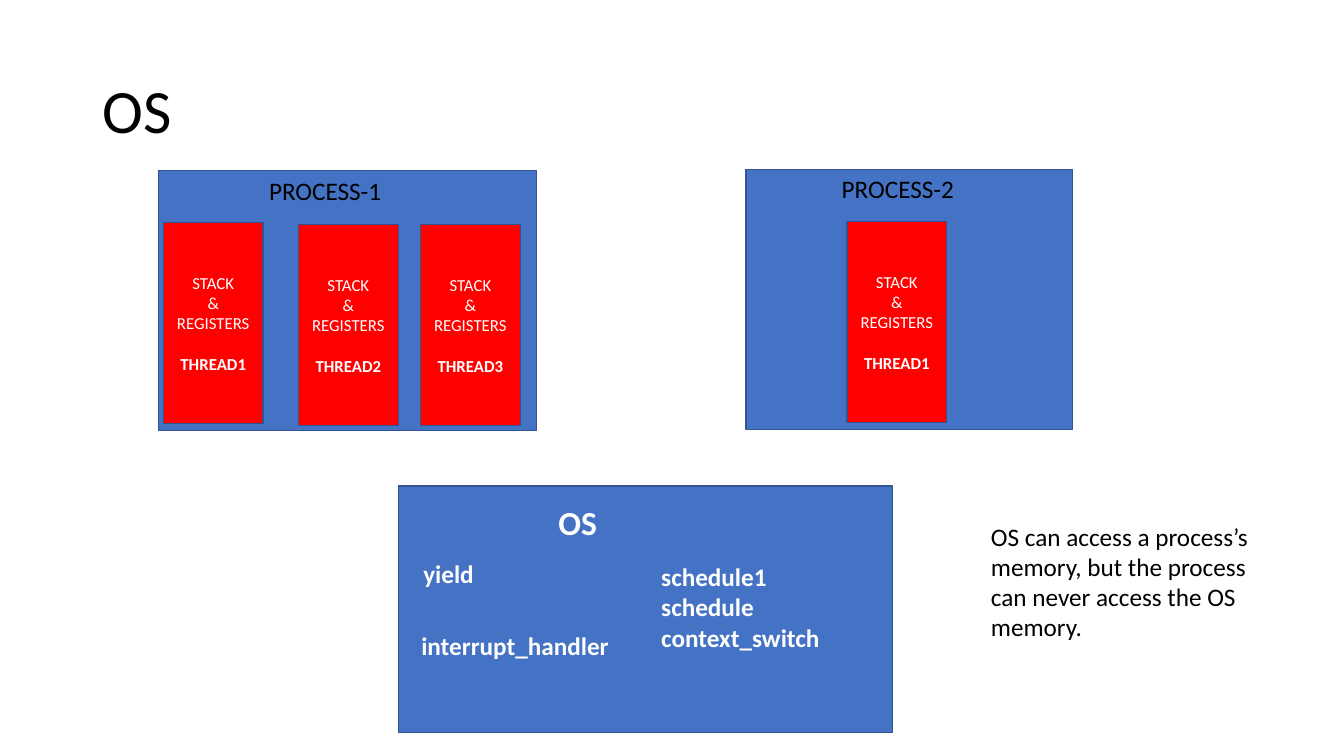
from pptx import Presentation
from pptx.dml.color import RGBColor
from pptx.enum.shapes import MSO_SHAPE
from pptx.enum.text import MSO_ANCHOR, PP_ALIGN
from pptx.util import Inches, Pt

RECTANGLE = MSO_SHAPE.RECTANGLE
TOP, MIDDLE = MSO_ANCHOR.TOP, MSO_ANCHOR.MIDDLE
CENTER = PP_ALIGN.CENTER

BLACK = RGBColor(0x00, 0x00, 0x00)
WHITE = RGBColor(0xFF, 0xFF, 0xFF)
BLUE = RGBColor(0x44, 0x72, 0xC4)
DARK_BLUE = RGBColor(0x32, 0x54, 0x91)
RED = RGBColor(0xFF, 0x00, 0x00)


class SlideBuilder:
    """Holds the style and the slide being built."""

    font_name = "Calibri"
    label_width = 2.19
    thread_width, thread_height = 0.99, 1.99

    def __init__(self, slide):
        self.slide = slide

    def style(self, paragraph, size, color, bold=False):
        paragraph.font.name = self.font_name
        paragraph.font.size = Pt(size)
        paragraph.font.color.rgb = color
        paragraph.font.bold = bold

    def box(self, left, top, width, height, fill=BLUE):
        shape = self.slide.shapes.add_shape(
            RECTANGLE, Inches(left), Inches(top), Inches(width), Inches(height))
        shape.shadow.inherit = False
        shape.fill.solid()
        shape.fill.fore_color.rgb = fill
        shape.line.color.rgb = DARK_BLUE
        shape.line.width = Pt(1)
        return shape

    def text(self, text, left, top, width=label_width, height=0.4, size=18,
             color=BLACK, bold=False, anchor=TOP, line_spacing=1.0):
        shape = self.slide.shapes.add_textbox(
            Inches(left), Inches(top), Inches(width), Inches(height))
        frame = shape.text_frame
        frame.word_wrap = True
        frame.vertical_anchor = anchor
        frame.text = text
        for paragraph in frame.paragraphs:
            paragraph.line_spacing = line_spacing
            self.style(paragraph, size, color, bold)

    def thread(self, number, left, top):
        shape = self.box(left, top, self.thread_width, self.thread_height, RED)
        frame = shape.text_frame
        frame.word_wrap = True
        frame.vertical_anchor = MIDDLE
        frame.text = f"STACK\n&\nREGISTERS\nTHREAD{number}"
        for paragraph in frame.paragraphs:
            paragraph.alignment = CENTER
            self.style(paragraph, 12, WHITE)
        name = frame.paragraphs[-1]
        name.font.bold = True
        name.space_before = Pt(14.6)


def main():
    presentation = Presentation()
    presentation.slide_width = Inches(13.33)
    presentation.slide_height = Inches(7.5)
    slide = presentation.slides.add_slide(presentation.slide_layouts[6])
    builder = SlideBuilder(slide)

    # Title
    builder.text("OS", 0.92, 0.4, 11.5, 1.45, size=44, anchor=MIDDLE,
                 line_spacing=0.9)

    # Process 1 with three threads
    builder.box(1.57, 1.69, 3.75, 2.58)
    builder.text("PROCESS-1", 2.57, 1.69)
    for number, left, top in ((1, 1.62, 2.21), (2, 2.96, 2.23), (3, 4.17, 2.23)):
        builder.thread(number, left, top)

    # Process 2 with one thread
    builder.box(7.4, 1.68, 3.24, 2.58)
    builder.text("PROCESS-2", 8.25, 1.67)
    builder.thread(1, 8.4, 2.2)

    # Operating system and its functions
    builder.box(3.95, 4.82, 4.9, 2.45)
    builder.text("OS", 5.44, 4.93, height=0.5, size=24, color=WHITE, bold=True)
    for functions, left, top, height in (
        ("yield", 4.1, 5.49, 0.4),
        ("interrupt_handler", 4.08, 6.2, 0.4),
        ("schedule1\nschedule\ncontext_switch", 6.46, 5.52, 1.01),
    ):
        builder.text(functions, left, top, height=height, color=WHITE, bold=True)

    # Remark on memory access
    builder.text("OS can access a process’s memory, but the process can never "
                 "access the OS memory.", 9.73, 5.12, 2.82, 1.31)

    presentation.save("out.pptx")


if __name__ == "__main__":
    main()
